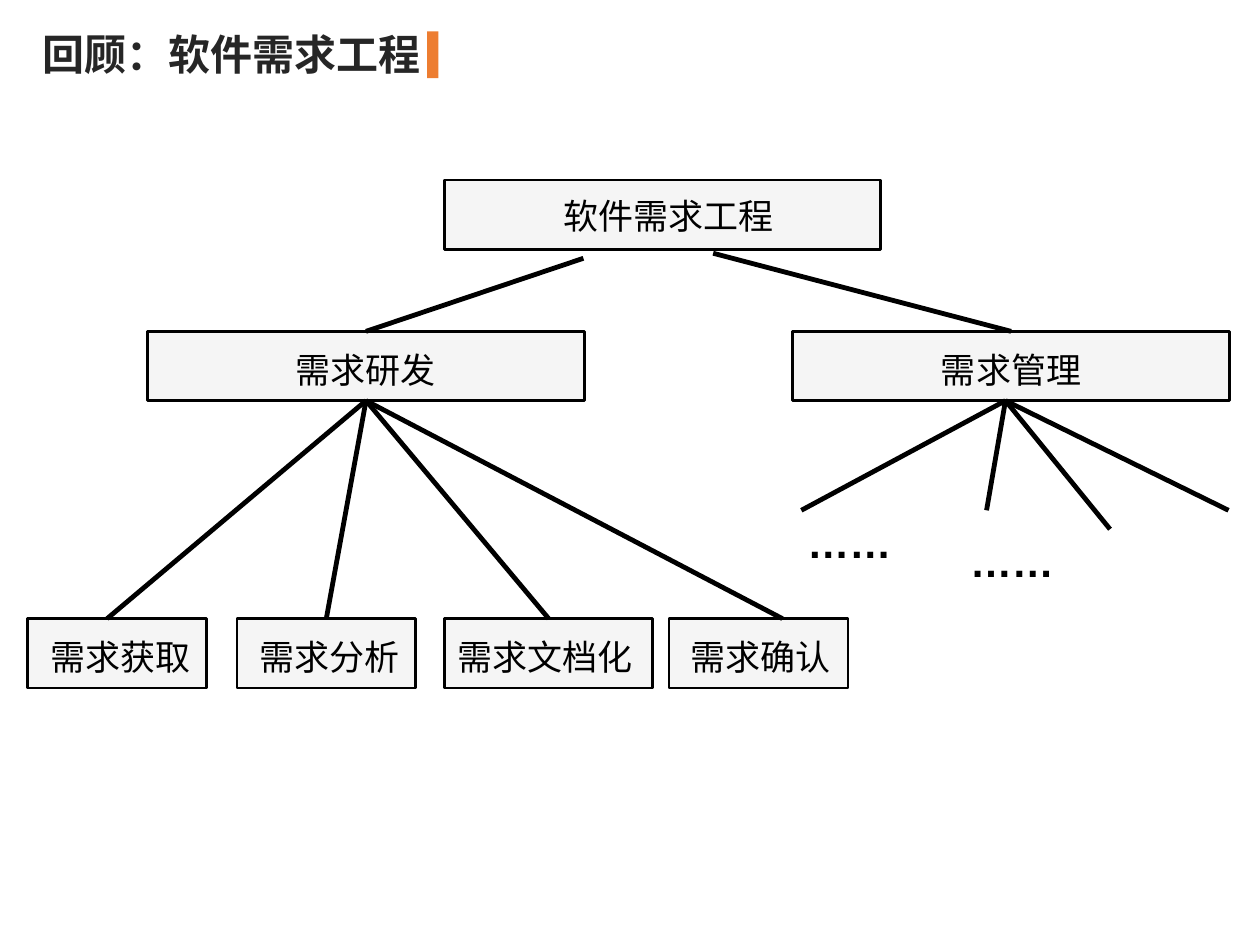
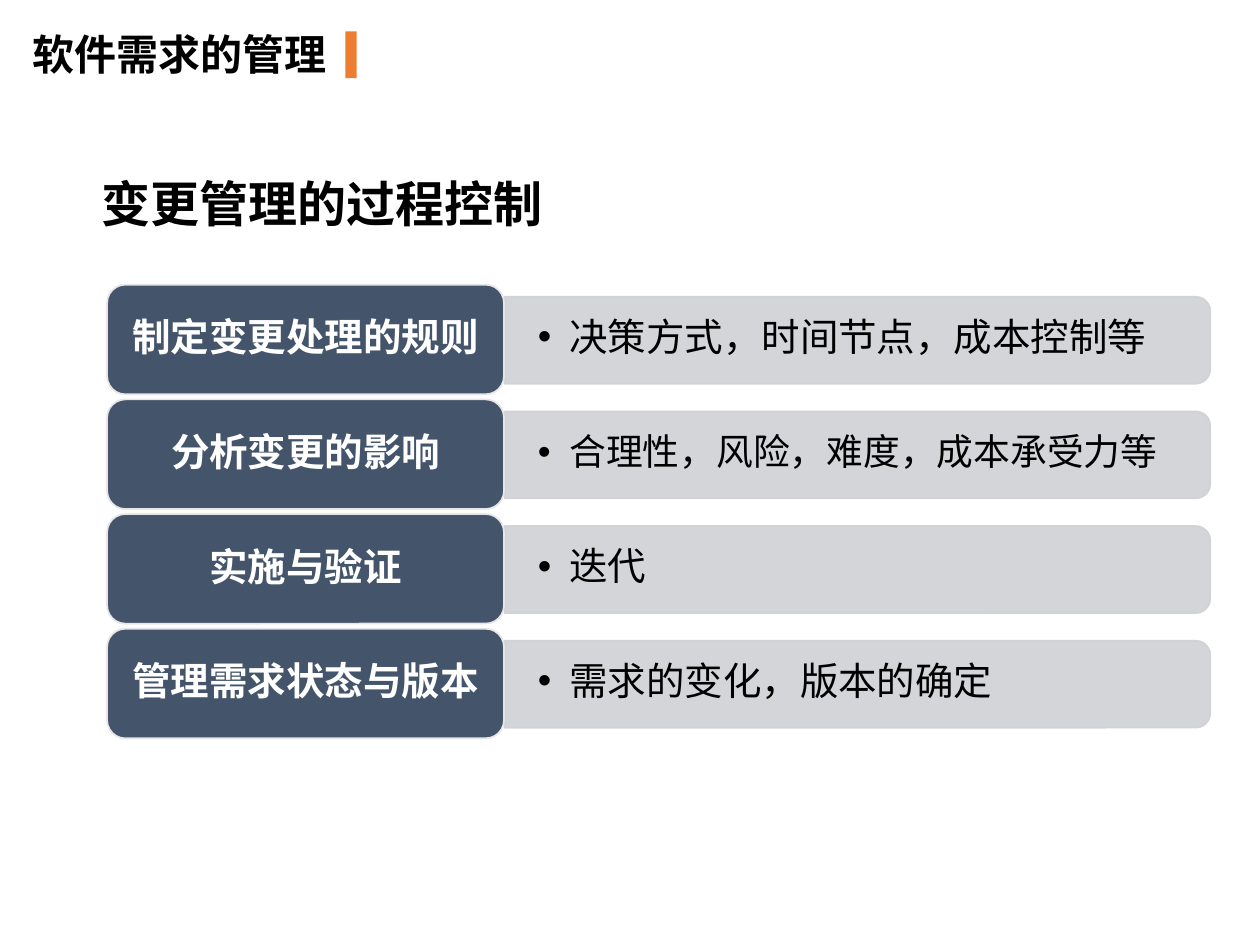
from dataclasses import dataclass
from lxml.etree import SubElement as Sub
from pptx import Presentation
from pptx.dml.color import RGBColor as RGB
from pptx.enum.shapes import MSO_CONNECTOR as Conn, MSO_SHAPE as Kind
from pptx.enum.text import MSO_ANCHOR as Anchor, MSO_AUTO_SIZE as Fit, PP_ALIGN as Align
from pptx.oxml.ns import qn
from pptx.util import Pt

PX = 9144  # EMU per px, 100 px to the inch


@dataclass(frozen=True)
class Theme:
    font: str = "Noto Sans CJK SC"
    latin: str = "Arial"
    ink: str = "000000"
    dark: str = "262626"
    white: str = "FFFFFF"
    accent: str = "ED7D31"
    box: str = "F5F5F5"
    label: str = "44546A"
    edge: str = "E7E6E6"
    bar: str = "CFD1D4"
    title: int = 24
    head: int = 28
    node: int = 20
    item: int = 22
    small: int = 21


T = Theme()


def draw(slide, kind, at, fill, line=None, width=1):
    shape = slide.shapes.add_shape(kind, *[v * PX for v in at])
    shape.shadow.inherit = False
    shape.fill.solid()
    shape.fill.fore_color.rgb = RGB.from_string(fill)
    if line:
        shape.line.color.rgb = RGB.from_string(line)
        shape.line.width = Pt(width)
    else:
        shape.line.fill.background()
    return shape


def write(shape, text, size, color=T.ink, bold=False, align=Align.LEFT,
          font=T.font, anchor=Anchor.TOP, pad=(10, 5, 10, 5)):
    frame = shape.text_frame
    frame.word_wrap = True
    frame.auto_size = Fit.NONE
    frame.vertical_anchor = anchor
    (frame.margin_left, frame.margin_top,
     frame.margin_right, frame.margin_bottom) = [v * PX for v in pad]
    para = frame.paragraphs[0]
    para.alignment = align
    run = para.add_run()
    run.text = text
    run.font.size = Pt(size)
    run.font.bold = bold
    run.font.name = font
    run.font.color.rgb = RGB.from_string(color)
    Sub(run.font._element, qn("a:ea")).set("typeface", font)
    return para


deck = Presentation()
deck.slide_width, deck.slide_height = 1000 * PX, 750 * PX

# Titles, each with an accent bar
slides = []
for text, color, left, wide, mark in [
    ("回顾：软件需求工程", T.dark, 24, 323, 339),
    ("软件需求的管理", T.ink, 16, 342, 274),
]:
    slide = deck.slides.add_slide(deck.slide_layouts[5])
    title = slide.shapes.title
    title.left, title.top, title.width, title.height = [
        v * PX for v in (left, 18, wide, 50)]
    write(title, text, T.title, color, bold=True)
    draw(slide, Kind.RECTANGLE, (mark, 25, 9, 37), T.accent)
    slides.append(slide)
tree, steps = slides

# Tree boxes: text, left, top, width, alignment, left and top padding
nodes = {}
for text, left, top, wide, align, side, lead in [
    ("软件需求工程", 353, 143, 346, Align.CENTER, 19, 6),
    ("需求研发", 117, 263, 347, Align.CENTER, 10, 10),
    ("需求管理", 629, 263, 347, Align.CENTER, 10, 10),
    ("需求获取", 22, 491, 142, Align.LEFT, 18, 10),
    ("需求分析", 188, 491, 142, Align.LEFT, 18, 10),
    ("需求文档化", 353, 491, 165, Align.LEFT, 10, 10),
    ("需求确认", 531, 491, 142, Align.LEFT, 17, 10),
]:
    box = draw(tree, Kind.RECTANGLE, (left, top, wide, 55), T.box, T.ink, 1.5)
    write(box, text, T.node, align=align, anchor=Anchor.MIDDLE,
          pad=(side, lead, 10, 5))
    nodes[text] = box

# Branches: start, end, boxes joined at the bottom and at the top
dev, root = (290, 318), (798, 318)
for start, end, above, below in [
    ((463, 205), (290, 263), None, "需求研发"),
    ((566, 201), (802, 263), None, "需求管理"),
    (dev, (85, 491), "需求研发", None),
    (dev, (259, 491), "需求研发", "需求分析"),
    (dev, (436, 491), "需求研发", "需求文档化"),
    (dev, (621, 491), "需求研发", None),
    (root, (636, 405), None, None),
    (root, (783, 405), None, None),
    (root, (881, 420), None, None),
    (root, (975, 405), None, None),
]:
    branch = tree.shapes.add_connector(
        Conn.STRAIGHT, *[v * PX for v in start + end])
    branch.line.color.rgb = RGB.from_string(T.ink)
    branch.line.width = Pt(2.75)
    Sub(branch._element.spPr, qn("a:effectLst"))
    if above:
        branch.begin_connect(nodes[above], 2)
    if below:
        branch.end_connect(nodes[below], 0)

# Open ends of the tree
for at in [(631, 405, 99, 51), (760, 420, 159, 51)]:
    dots = tree.shapes.add_textbox(*[v * PX for v in at])
    write(dots, "……", T.title, bold=True, font=T.latin)

# Heading of the process
head = steps.shapes.add_textbox(*[v * PX for v in (71, 133, 374, 57)])
write(head, "变更管理的过程控制", T.head, bold=True)

# Process rows: label on the left, detail on a bar
for row, (name, detail, size) in enumerate([
    ("制定变更处理的规则", "决策方式，时间节点，成本控制等", T.item),
    ("分析变更的影响", "合理性，风险，难度，成本承受力等", T.small),
    ("实施与验证", "迭代", T.item),
    ("管理需求状态与版本", "需求的变化，版本的确定", T.item),
]):
    drop = 91 * row
    bar = draw(steps, Kind.ROUND_2_SAME_RECTANGLE, (646, drop - 10, 69, 560),
               T.bar, T.bar)
    bar.rotation = 90
    for tint in bar._element.spPr.iter(qn("a:srgbClr")):
        Sub(tint, qn("a:alpha")).set("val", "90000")

    note = steps.shapes.add_textbox(
        *[v * PX for v in (400, 238 + drop, 557, 62)])
    para = write(note, detail, size, anchor=Anchor.MIDDLE,
                 pad=(27, 14, 27, 14))
    para.line_spacing = 0.9
    props = para._p.get_or_add_pPr()
    props.set("marL", str(25 * PX))
    props.set("indent", str(-25 * PX))
    Sub(props, qn("a:buFont")).set("typeface", T.latin)
    Sub(props, qn("a:buChar")).set("char", "•")

    label = draw(steps, Kind.ROUNDED_RECTANGLE, (85, 226 + drop, 315, 87),
                 T.label, T.edge)
    para = write(label, name, T.item, T.white, bold=True, align=Align.CENTER,
                 anchor=Anchor.MIDDLE)
    para.line_spacing = 0.9

deck.save("out.pptx")
